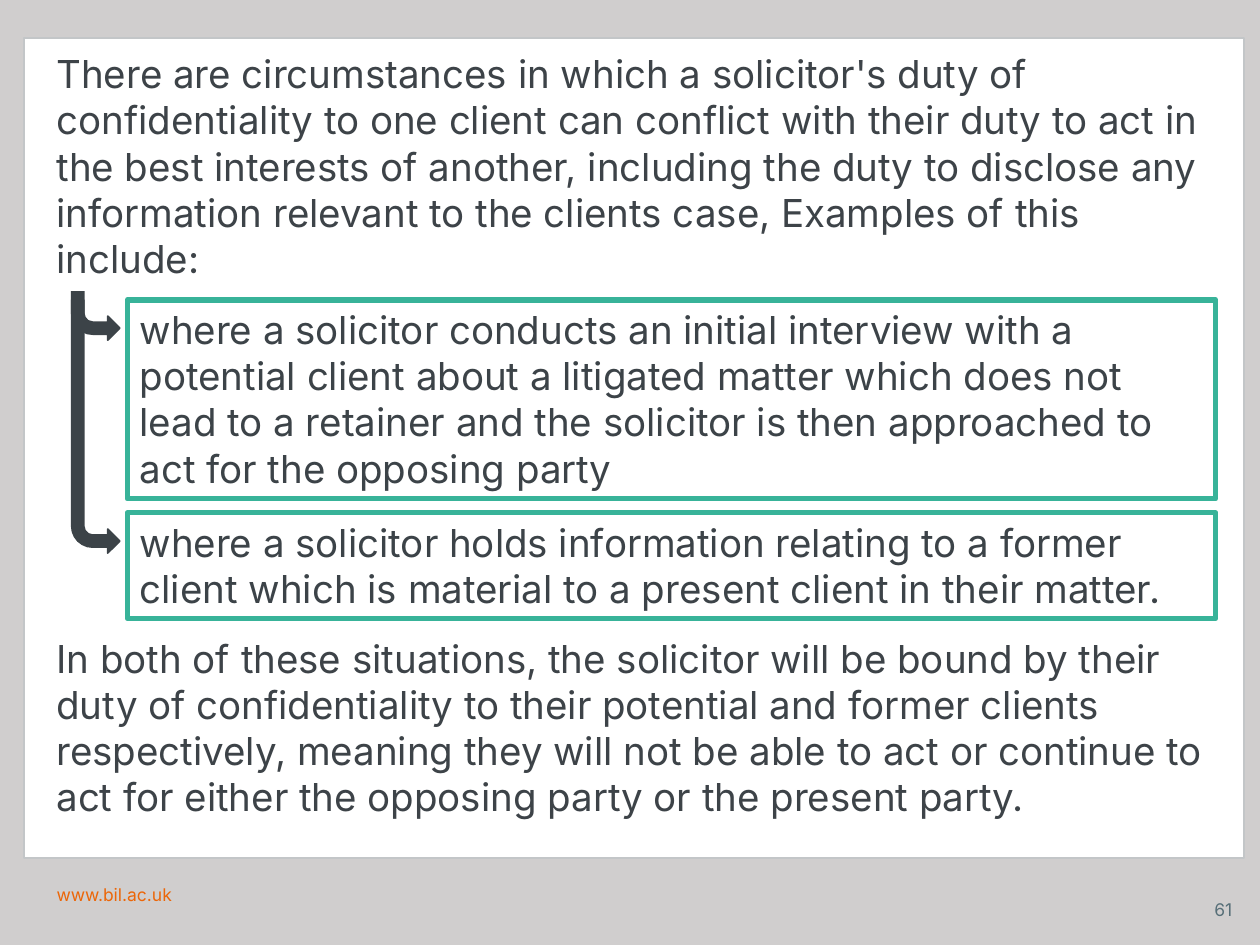
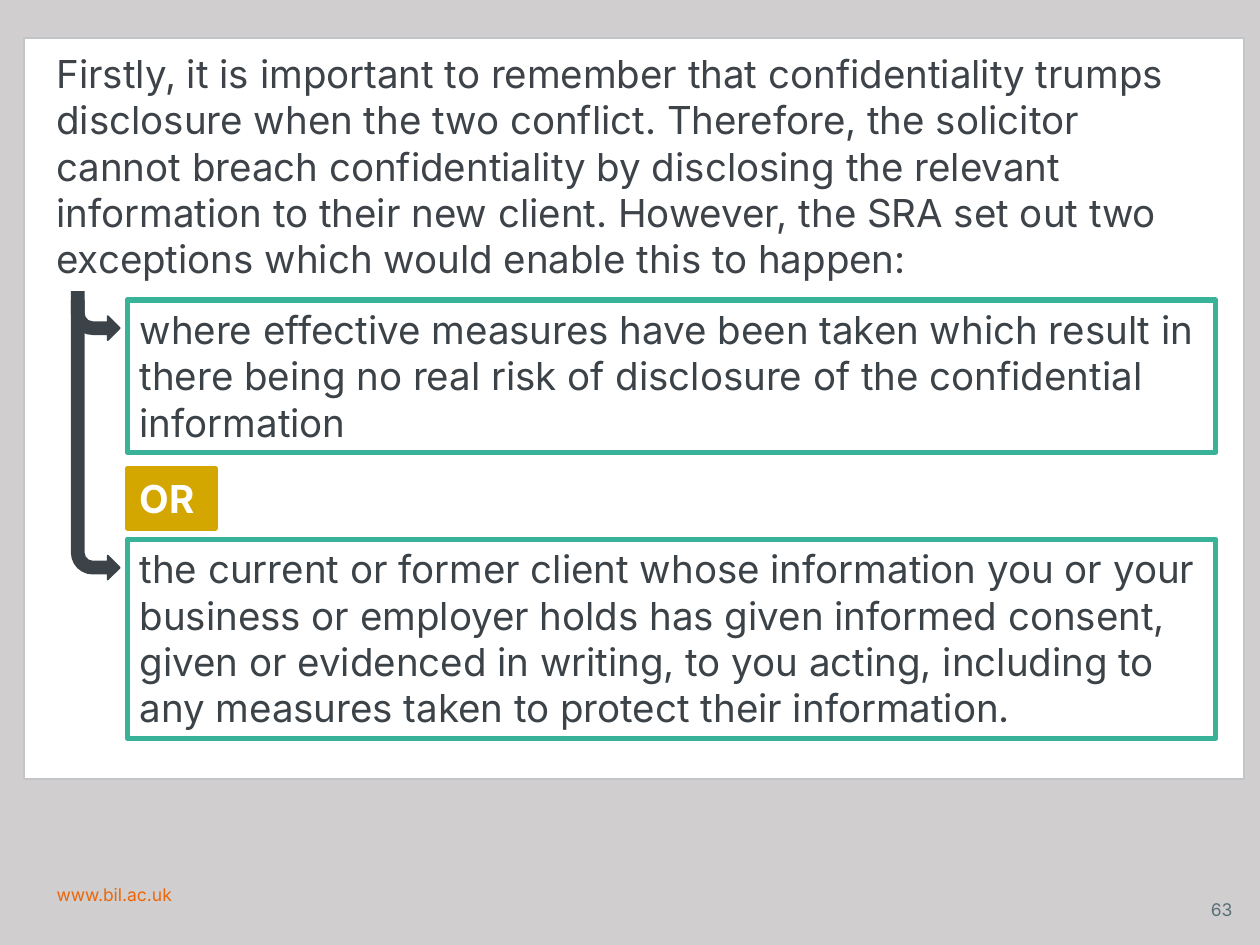
from collections import namedtuple

from lxml.etree import SubElement
from pptx import Presentation
from pptx.dml.color import RGBColor
from pptx.enum.shapes import MSO_SHAPE
from pptx.enum.text import MSO_ANCHOR, MSO_AUTO_SIZE, PP_ALIGN
from pptx.oxml.ns import qn
from pptx.util import Pt

FONT = "Inter"
GREY, WHITE, CARD_EDGE = "D0CECE", "FFFFFF", "C3C6C8"
DARK, BODY, TEAL, GOLD = "3C4348", "3D4348", "38B399", "D3A600"
ORANGE, SLATE = "EC6608", "576F78"
TEXT_SIZE, LINE_HEIGHT, INSET = 22, 26.62, 3.6

Box = namedtuple("Box", "left top width height")
Item = namedtuple("Item", "text lines gap")
PAGE = Box(0, 0, 720, 540)


def color(hex_string):
    return RGBColor.from_string(hex_string)


def lengths(box):
    return [Pt(value) for value in box]


def text_height(lines):
    return lines * LINE_HEIGHT + 2 * INSET


def add_filled(slide, box, fill, line=None, line_width=1, kind=MSO_SHAPE.RECTANGLE):
    shape = slide.shapes.add_shape(kind, *lengths(box))
    shape.shadow.inherit = False
    shape.fill.solid()
    shape.fill.fore_color.rgb = color(fill)
    if line:
        shape.line.color.rgb = color(line)
        shape.line.width = Pt(line_width)
        SubElement(shape.line._get_or_add_ln(), qn("a:round"))
    else:
        shape.line.fill.background()
    return shape


def write(shape, text, ink, size=TEXT_SIZE, bold=False,
          align=PP_ALIGN.LEFT, anchor=MSO_ANCHOR.TOP):
    frame = shape.text_frame
    frame.word_wrap = True
    frame.vertical_anchor = anchor
    paragraph = frame.paragraphs[0]
    paragraph.text = text
    paragraph.alignment = align
    font = paragraph.font
    font.name, font.size, font.bold = FONT, Pt(size), bold
    font.color.rgb = color(ink)


def add_text(slide, box, text, ink, **style):
    write(slide.shapes.add_textbox(*lengths(box)), text, ink, **style)


# Web address and slide number along the bottom
def add_footer(slide, page, number):
    base = page.top + page.height
    add_text(slide, Box(page.left + 25.2, base - 38.2, 481.7, 28.1),
             "www.bil.ac.uk", ORANGE, size=10)
    add_text(slide, Box(page.width - 42.5, base - 31.7, 33.8, 23), str(number),
             SLATE, size=10, align=PP_ALIGN.RIGHT, anchor=MSO_ANCHOR.MIDDLE)


# Arrow that runs down from the introduction and turns right into a case
def add_branch(slide, box):
    arrow = add_filled(slide, box, DARK, DARK, kind=MSO_SHAPE.BENT_ARROW)
    arrow._element.spPr.find(qn("a:xfrm")).set("flipV", "1")


# Outlined box, or the gold label between two of them
def add_case(slide, box, text, is_label):
    if is_label:
        shape = add_filled(slide, box._replace(width=50.4), GOLD, GOLD, 3)
        write(shape, text, WHITE, bold=True)
    else:
        shape = add_filled(slide, box, WHITE, TEAL, 3)
        write(shape, text, DARK)
    shape.text_frame.auto_size = MSO_AUTO_SIZE.SHAPE_TO_FIT_TEXT


# Stack of cases, each with its branch arrow
def add_cases(slide, box, items):
    top = box.top
    branch_top = box.top - 51.2
    for item in items:
        top += item.gap
        height = text_height(item.lines)
        is_label = item.lines == 1
        if not is_label:
            tip = top + 23
            add_branch(slide, Box(box.left - 31.7, branch_top, 27.4, tip - branch_top))
            branch_top = box.top
        add_case(slide, Box(box.left, top, box.width, height), item.text, is_label)
        top += height


# White card: introduction, cases and an optional closing paragraph
def add_card(slide, card, intro, items, closing=None):
    add_filled(slide, card, WHITE, CARD_EDGE)
    text_box = Box(card.left + 11.5, card.top + 3.6, 669.6, 141.1)
    add_cases(slide, Box(card.left + 59, card.top + 149.8, 622, 0), items)
    write(add_filled(slide, text_box, WHITE), intro, BODY)
    if closing:
        closing_box = text_box._replace(top=card.top + 337.7, height=144)
        add_text(slide, closing_box, closing, BODY)


def add_slide(presentation, number, card_height, **content):
    slide = presentation.slides.add_slide(presentation.slide_layouts[6])
    slide.background.fill.solid()
    slide.background.fill.fore_color.rgb = color(GREY)
    add_card(slide, Box(13.7, 21.6, 697, card_height), **content)
    add_footer(slide, PAGE, number)


def main():
    presentation = Presentation()
    presentation.slide_width, presentation.slide_height = Pt(PAGE.width), Pt(PAGE.height)
    add_slide(
        presentation, 61, 468.7,
        intro="There are circumstances in which a solicitor's duty of confidentiality to "
              "one client can conflict with their duty to act in the best interests of "
              "another, including the duty to disclose any information relevant to the "
              "clients case, Examples of this include:",
        items=[
            Item("where a solicitor conducts an initial interview with a potential client "
                 "about a litigated matter which does not lead to a retainer and the "
                 "solicitor is then approached to act for the opposing party", 4, 0),
            Item("where a solicitor holds information relating to a former client which is "
                 "material to a present client in their matter.", 2, 8),
        ],
        closing="In both of these situations, the solicitor will be bound by their duty of "
                "confidentiality to their potential and former clients respectively, "
                "meaning they will not be able to act or continue to act for either the "
                "opposing party or the present party.")
    add_slide(
        presentation, 63, 423.4,
        intro="Firstly, it is important to remember that confidentiality trumps disclosure "
              "when the two conflict. Therefore, the solicitor cannot breach "
              "confidentiality by disclosing the relevant information to their new client. "
              "However, the SRA set out two exceptions which would enable this to happen:",
        items=[
            Item("where effective measures have been taken which result in there being no "
                 "real risk of disclosure of the confidential information", 3, 0),
            Item("OR", 1, 9.4),
            Item("the current or former client whose information you or your business or "
                 "employer holds has given informed consent, given or evidenced in "
                 "writing, to you acting, including to any measures taken to protect their "
                 "information.", 4, 6.5),
        ])
    presentation.save("out.pptx")


if __name__ == "__main__":
    main()
